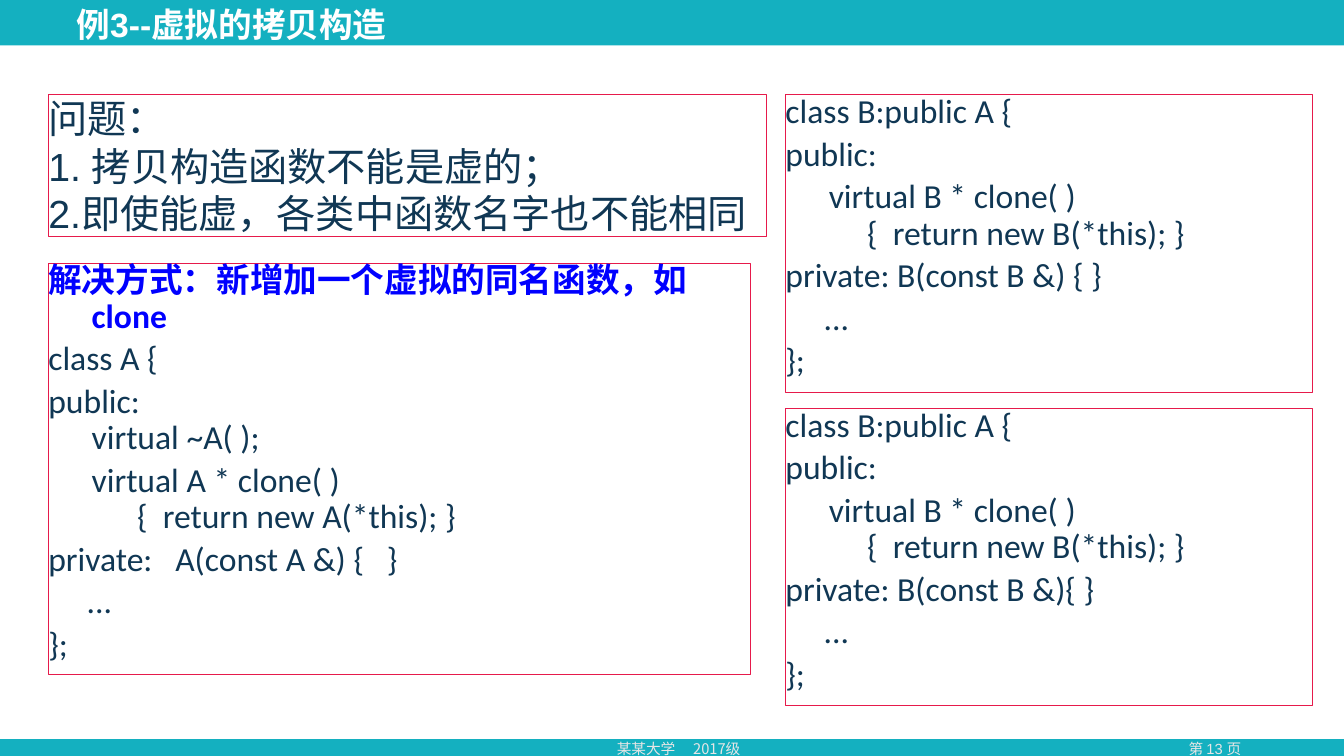
import pptx
import pptx.util
import pptx.dml.color
import pptx.enum.shapes
import pptx.enum.text

PX = 9144
WIDE, HIGH = 1333, 750
TEAL, WHITE, GREY = "14B0C0", "FFFFFF", "E7E6E6"
RED, NAVY, BLUE = "E61A4B", "103754", "0000FF"
RECT = pptx.enum.shapes.MSO_SHAPE.RECTANGLE
ANCHOR = pptx.enum.text.MSO_ANCHOR
ALIGN = pptx.enum.text.PP_ALIGN
HANG = 43


def px(n):
    return pptx.util.Emu(n * PX)


def tint(code):
    return pptx.dml.color.RGBColor.from_string(code)


def style(para, size, face, color, bold=False):
    for run in para.runs:
        font = run.font
        font.size, font.name, font.bold = pptx.util.Pt(size), face, bold
        font.color.rgb = tint(color)


def panel(slide, box, fill=None, edge=None):
    shape = slide.shapes.add_shape(RECT, *map(px, box))
    shape.shadow.inherit = False
    if fill:
        shape.fill.solid()
        shape.fill.fore_color.rgb = tint(fill)
    else:
        shape.fill.background()
    if edge:
        shape.line.color.rgb = tint(edge)
        shape.line.width = pptx.util.Pt(0.75)
    else:
        shape.line.fill.background()
    frame = shape.text_frame
    frame.word_wrap = True
    frame.vertical_anchor = ANCHOR.TOP
    frame.margin_left = frame.margin_right = 0
    frame.margin_top = frame.margin_bottom = 0
    return frame


def label(slide, box, text, face, align):
    frame = slide.shapes.add_textbox(*map(px, box)).text_frame
    frame.word_wrap = True
    frame.text = text
    para = frame.paragraphs[0]
    para.alignment = align
    style(para, 10.5, face, GREY)


def frame_page(slide, box):
    left, top, wide, high = box
    panel(slide, box, TEAL)
    panel(slide, (left, top + 45, wide, high - 62), WHITE)
    foot = top + high - 21
    label(slide, (left + 1132, foot, 146, 28), "第 13 页", "Arial", ALIGN.CENTER)
    label(slide, (left + 602, foot, 184, 28), "某某大学　 2017级",
          "Noto Sans CJK SC", ALIGN.LEFT)


def head(slide, box, text):
    title = slide.shapes.title
    title.left, title.top, title.width, title.height = map(px, box)
    frame = title.text_frame
    frame.text = text
    frame.auto_size = pptx.enum.text.MSO_AUTO_SIZE.NONE
    frame.vertical_anchor = ANCHOR.BOTTOM
    para = frame.paragraphs[0]
    para.alignment = ALIGN.LEFT
    para.line_spacing = 0.9
    style(para, 24, "Arial", WHITE, True)


def issue(slide, box, text):
    frame = panel(slide, box, WHITE, RED)
    frame.text = text
    for para in frame.paragraphs:
        para.alignment = ALIGN.LEFT
        style(para, 28, "Arial", NAVY)


def code(slide, box, rows, lead=False):
    frame = panel(slide, box, edge=RED)
    frame.text = "\n".join(text for text, _, _ in rows)
    for i, (para, row) in enumerate(zip(frame.paragraphs, rows)):
        _, inset, gap = row
        props = para._p.get_or_add_pPr()
        props.set("marL", str(px(inset or HANG)))
        props.set("indent", str(px(0 if inset else -HANG)))
        para.alignment = ALIGN.LEFT
        para.line_spacing = 0.9
        para.space_before = pptx.util.Pt(4.5 if gap else 0)
        first = lead and i == 0
        style(para, 24, "Calibri", BLUE if first else NAVY, first)


def derived(slide, box, hidden):
    code(slide, box, [
        ("class B:public A {", 0, True),
        ("public:", 0, True),
        ("virtual B * clone( )", HANG, True),
        ("{  return new B(*this); }", 81, False),
        (hidden, 0, True),
        ("...", 38, True),
        ("};", 0, True),
    ])


def main():
    deck = pptx.Presentation()
    deck.slide_width, deck.slide_height = px(WIDE), px(HIGH)
    slide = deck.slides.add_slide(deck.slide_layouts[5])
    frame_page(slide, (0, 0, WIDE, HIGH))
    title = slide.shapes.title._element
    title.getparent().append(title)
    head(slide, (66, 0, 1198, 49), "例3--虚拟的拷贝构造")
    issue(slide, (48, 94, 712, 141),
          "问题：\v1. 拷贝构造函数不能是虚的；\n2.即使能虚，各类中函数名字也不能相同")
    code(slide, (48, 261, 696, 408), [
        ("解决方式：新增加一个虚拟的同名函数，如clone", 0, True),
        ("class A {", 0, True),
        ("public:", 0, True),
        ("virtual ~A( );", HANG, False),
        ("virtual A * clone( )", HANG, True),
        ("{  return new A(*this); }", 88, False),
        ("private:   A(const A &) {   }", 0, True),
        ("...", 38, True),
        ("};", 0, True),
    ], lead=True)
    hidden = ("private: B(const B &) { }", "private: B(const B &){ }")
    for i, text in enumerate(hidden):
        derived(slide, (779, 94 + 311 * i, 523, 295), text)
    deck.save("out.pptx")


if __name__ == "__main__":
    main()
